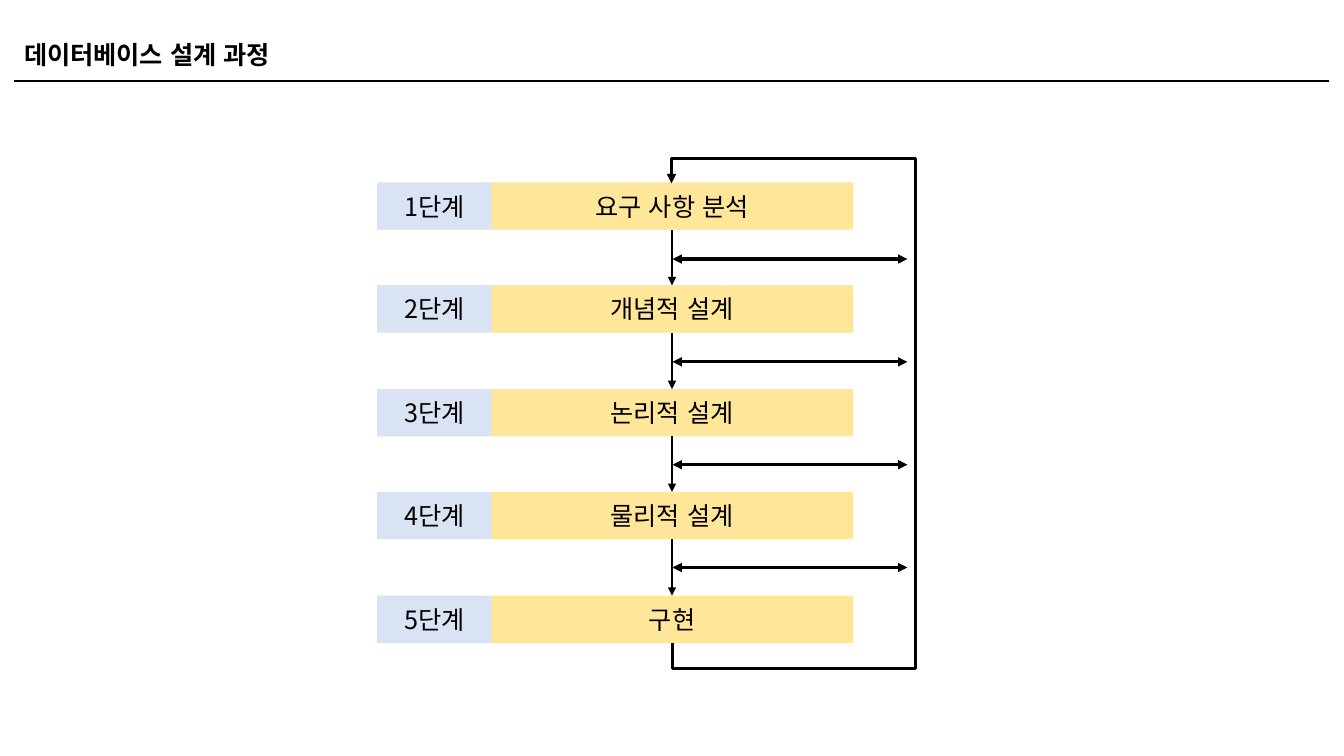
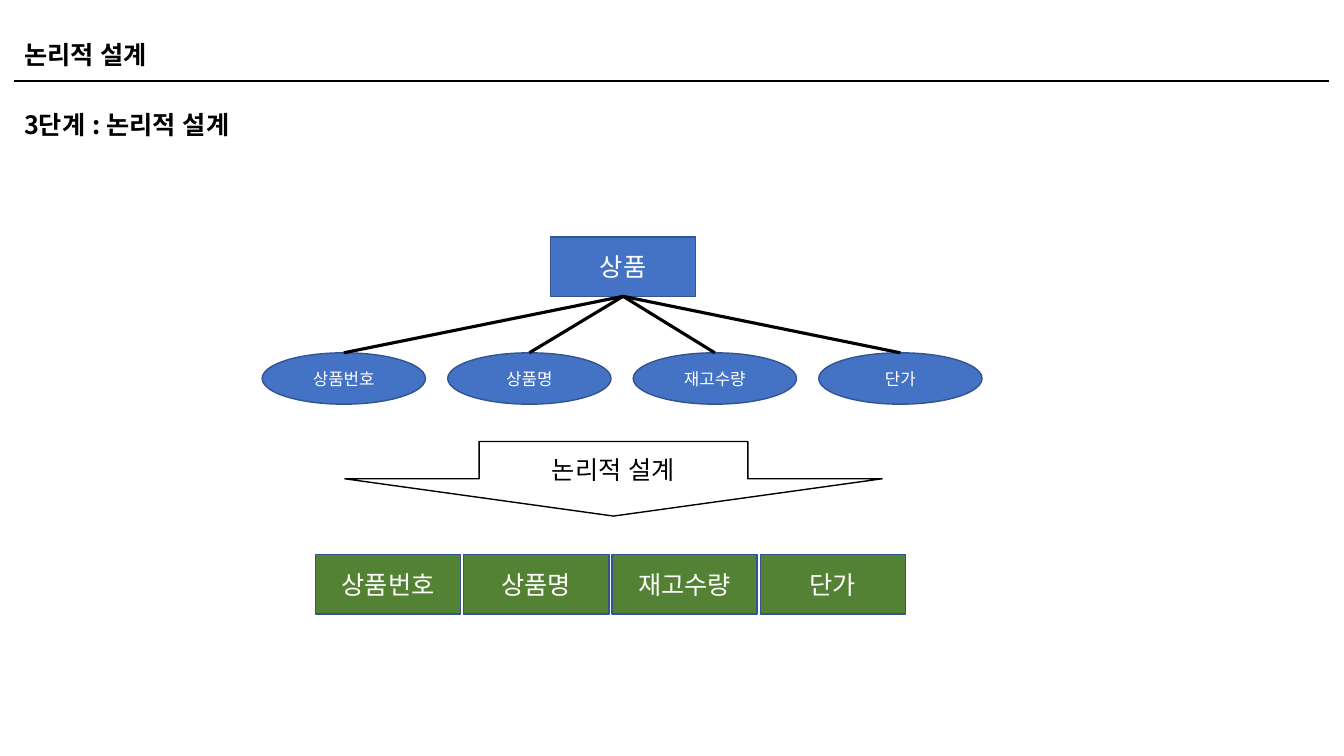
from dataclasses import dataclass

from lxml.etree import SubElement
from pptx import Presentation
from pptx.dml.color import RGBColor
from pptx.enum.lang import MSO_LANGUAGE_ID as Language
from pptx.enum.shapes import MSO_CONNECTOR as Connector, MSO_SHAPE as Shape
from pptx.enum.text import MSO_ANCHOR as Anchor, PP_ALIGN as Align
from pptx.oxml.ns import qn
from pptx.util import Pt

PX = 9144
TOP, BOTTOM = 0, 2


@dataclass(frozen=True)
class Theme:
    """Colours, type sizes and line widths of the deck."""
    font: str = "Noto Sans CJK KR"
    ink: str = "000000"
    paper: str = "FFFFFF"
    step: str = "DAE3F3"
    task: str = "FFE699"
    entity: str = "4472C4"
    column: str = "548235"
    outline: str = "325491"
    body: int = 18
    small: int = 12
    hairline: float = 1
    thin: float = 1.5
    thick: float = 2.25


class Deck:
    """Holds the style and the page being drawn."""

    def __init__(self, theme):
        """Start an empty widescreen deck."""
        self.theme = theme
        self.show = Presentation()
        self.show.slide_width, self.show.slide_height = 1333 * PX, 750 * PX
        self.page = None

    def add_page(self, title):
        """Add a blank page with its title and rule."""
        self.page = self.show.slides.add_slide(self.show.slide_layouts[6])
        self.line((14, 80), (1318, 80), self.theme.thin)
        self.heading(title, 37, 40)

    def label(self, shape, text, color, size, bold=False, align=Align.CENTER,
              anchor=Anchor.MIDDLE, spacing=1.0):
        """Put one styled paragraph in a shape."""
        frame = shape.text_frame
        frame.word_wrap, frame.vertical_anchor = True, anchor
        para = frame.paragraphs[0]
        para.alignment, para.line_spacing = align, spacing
        span = para.add_run()
        span.text = text
        formats = {"name": self.theme.font, "size": Pt(size), "bold": bold,
                   "language_id": Language.KOREAN}
        for name, value in formats.items():
            setattr(span.font, name, value)
        span.font.color.rgb = RGBColor.from_string(color)
        SubElement(span.font._element, qn("a:ea"), typeface=self.theme.font)

    def heading(self, text, top, height):
        """Add a bold line of text across the page."""
        box = self.page.shapes.add_textbox(14 * PX, top * PX, 1304 * PX, height * PX)
        self.label(box, text, self.theme.ink, self.theme.body, bold=True,
                   align=Align.LEFT, anchor=Anchor.TOP, spacing=0.9)

    def box(self, kind, place, text, fill=None, outline=None, color=None, size=None):
        """Add a preset shape with centred text."""
        shape = self.page.shapes.add_shape(kind, *(length * PX for length in place))
        shape.shadow.inherit = False
        if fill:
            shape.fill.solid()
            shape.fill.fore_color.rgb = RGBColor.from_string(fill)
        else:
            shape.fill.background()
        if outline:
            self.stroke(shape, self.theme.hairline, outline)
        else:
            shape.line.fill.background()
        self.label(shape, text, color or self.theme.ink, size or self.theme.body)
        return shape

    def stroke(self, shape, width, color=None, heads=()):
        """Set the line of a shape and its arrowheads."""
        shape.line.width = Pt(width)
        shape.line.color.rgb = RGBColor.from_string(color or self.theme.ink)
        for head in heads:
            SubElement(shape.element.spPr.get_or_add_ln(), qn(f"a:{head}"), type="triangle")

    def line(self, start, end, width, heads=()):
        """Add a straight connector between two points."""
        ends = (length * PX for length in (*start, *end))
        line = self.page.shapes.add_connector(Connector.STRAIGHT, *ends)
        self.stroke(line, width, heads=heads)
        SubElement(line.element.spPr, qn("a:effectLst"))
        return line

    def join(self, upper, lower, width, heads=()):
        """Connect the bottom of one shape to the top of another."""
        line = self.line((0, 0), (0, 0), width, heads)
        line.begin_connect(upper, BOTTOM)
        line.end_connect(lower, TOP)

    def route(self, points, width):
        """Add an open outline that ends in an arrowhead."""
        builder = self.page.shapes.build_freeform(*points[0], scale=PX)
        builder.add_line_segments(points[1:], close=False)
        shape = builder.convert_to_shape()
        shape.shadow.inherit = False
        shape.fill.background()
        self.stroke(shape, width, heads=["tailEnd"])


def add_process(deck):
    """Draw the five design steps with their feedback loop."""
    theme = deck.theme
    deck.add_page("데이터베이스 설계 과정")
    names = ["요구 사항 분석", "개념적 설계", "논리적 설계", "물리적 설계", "구현"]
    tasks = []
    for index, name in enumerate(names):
        top = 181 + index * 205 // 2
        deck.box(Shape.RECTANGLE, (374, top, 114, 47), f"{index + 1}단계", theme.step)
        tasks.append(deck.box(Shape.RECTANGLE, (487, top, 359, 47), name, theme.task))
    for index, (upper, lower) in enumerate(zip(tasks, tasks[1:])):
        deck.join(upper, lower, theme.thin, ["tailEnd"])
        level = 257 + index * 102
        deck.line((667, level), (900, level), theme.thick, ["headEnd", "tailEnd"])
    deck.route([(667, 638), (667, 663), (908, 663), (908, 157), (666, 157), (666, 182)],
               theme.thick)


def add_logical_design(deck):
    """Draw an entity whose attributes become table columns."""
    theme = deck.theme
    deck.add_page("논리적 설계")
    deck.heading("3단계 : 논리적 설계", 107, 71)
    style = {"outline": theme.outline, "color": theme.paper}
    entity = deck.box(Shape.RECTANGLE, (546, 235, 144, 59), "상품", theme.entity, **style)
    for index, name in enumerate(["상품번호", "상품명", "재고수량", "단가"]):
        attribute = deck.box(Shape.OVAL, (260 + index * 184, 350, 162, 51), name,
                             theme.entity, size=theme.small, **style)
        deck.join(entity, attribute, theme.thick)
        deck.box(Shape.RECTANGLE, (313 + index * 147, 550, 144, 59), name,
                 theme.column, **style)
    deck.box(Shape.DOWN_ARROW, (342, 438, 533, 74), "논리적 설계", outline=theme.ink)


def main():
    """Build and save the deck."""
    deck = Deck(Theme())
    add_process(deck)
    add_logical_design(deck)
    deck.show.save("out.pptx")


if __name__ == "__main__":
    main()
